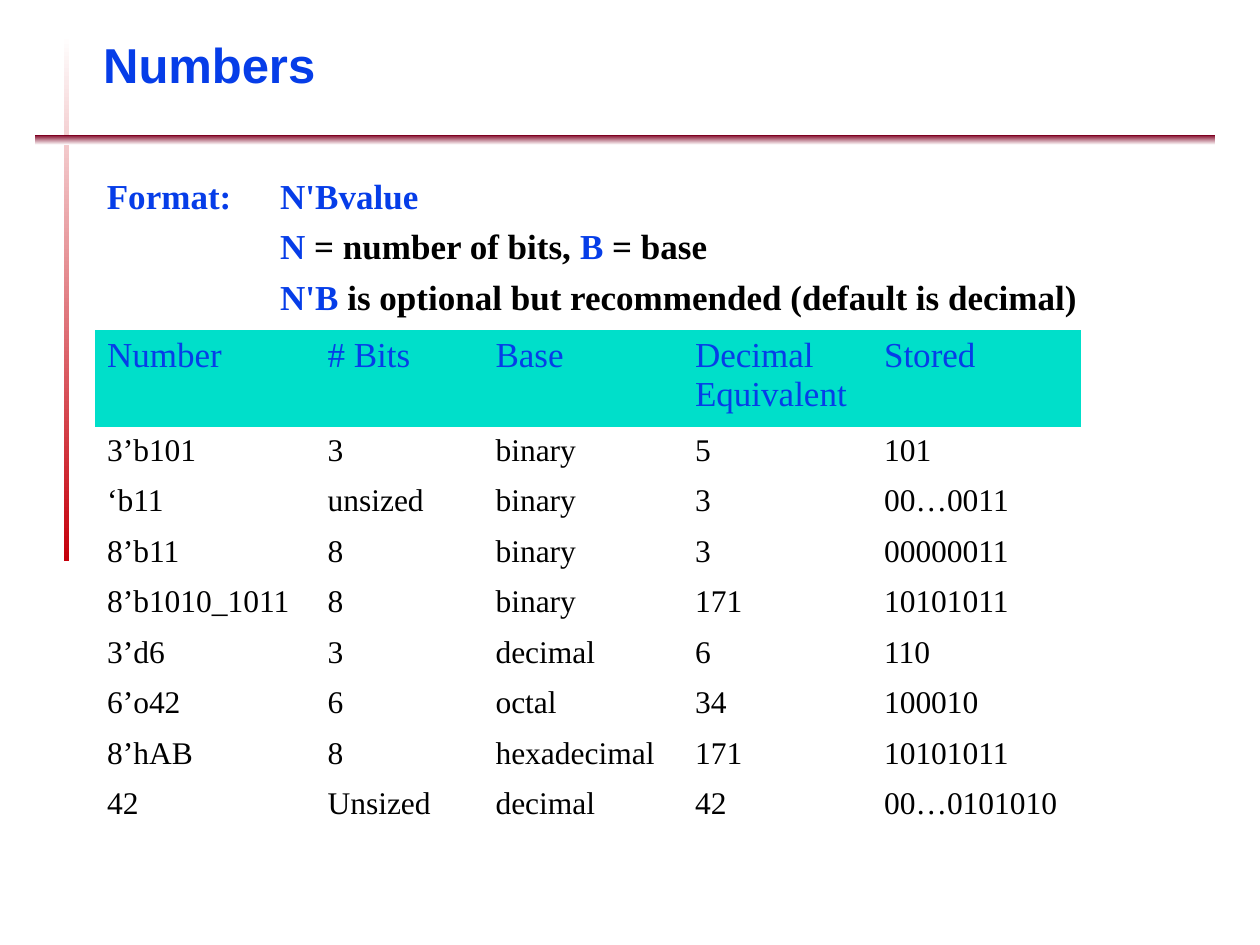
from pptx import Presentation
from pptx.dml.color import RGBColor as RGB
from pptx.enum.shapes import MSO_SHAPE as Shape
from pptx.util import Pt

HUES = {"blue": "063DE8", "black": "000000", "white": "FFFFFF",
        "red": "C5000B", "wine": "7E0021", "teal": "00DFCA"}
SERIF = "Times New Roman"
PLAIN = "{2D5ABB26-0587-4C30-8999-92F81FD0307C}"  # no style, no grid
TAB = 99

COLS = [126, 96, 114, 108, 120]
HEAD_H, ROW_H = 55.4, 28.8
ROWS = [
    ["Number", "# Bits", "Base", "Decimal Equivalent", "Stored"],
    ["3’b101", "3", "binary", "5", "101"],
    ["‘b11", "unsized", "binary", "3", "00…0011"],
    ["8’b11", "8", "binary", "3", "00000011"],
    ["8’b1010_1011", "8", "binary", "171", "10101011"],
    ["3’d6", "3", "decimal", "6", "110"],
    ["6’o42", "6", "octal", "34", "100010"],
    ["8’hAB", "8", "hexadecimal", "171", "10101011"],
    ["42", "Unsized", "decimal", "42", "00…0101010"],
]
NOTES = [
    [("Format:\tN'Bvalue", "blue")],
    [("N", "blue"), (" = number of bits, ", "black"),
     ("B", "blue"), (" = base", "black")],
    [("N'B", "blue"),
     (" is optional but recommended (default is decimal)", "black")],
]


def rgb(hue):
    return RGB.from_string(HUES[hue])


def add_run(para, text, hue, **form):
    run = para.add_run()
    run.text = text
    run.font.color.rgb = rgb(hue)
    for key, val in form.items():
        setattr(run.font, key, val)


def add_bar(slide, area, hue, angle):
    """Add a bar that fades from white to hue."""
    bar = slide.shapes.add_shape(Shape.RECTANGLE, *map(Pt, area))
    bar.shadow.inherit = False
    bar.line.fill.background()
    bar.fill.gradient()
    bar.fill.gradient_angle = angle
    for stop, tone in zip(bar.fill.gradient_stops, ("white", hue)):
        stop.color.rgb = rgb(tone)


def add_box(slide, area, side, top):
    frame = slide.shapes.add_textbox(*map(Pt, area)).text_frame
    form = {"word_wrap": True, "margin_left": Pt(side),
            "margin_right": Pt(side), "margin_top": Pt(top),
            "margin_bottom": Pt(top)}
    for key, val in form.items():
        setattr(frame, key, val)
    return frame


def add_title(slide):
    para = add_box(slide, (54, 21, 618, 94), 5, 3.6).paragraphs[0]
    para.line_spacing = 0.87
    add_run(para, "Numbers", "blue", name="Arial", size=Pt(28), bold=True)


def add_notes(slide):
    frame = add_box(slide, (54, 96, 612, 390), 7.2, 3.6)
    for i, parts in enumerate(NOTES):
        para = frame.add_paragraph() if i else frame.paragraphs[0]
        props = para._p.get_or_add_pPr()
        props.set("marL", str(Pt(TAB)))
        props.set("indent", str(0 if i else -Pt(TAB)))
        para.space_before = Pt(5 if i else 0)
        for text, hue in parts:
            add_run(para, text, hue, name=SERIF, size=Pt(20), bold=True)


def add_grid(slide):
    high = HEAD_H + ROW_H * (len(ROWS) - 1)
    grid = slide.shapes.add_table(len(ROWS), len(COLS), Pt(54), Pt(188.6),
                                  Pt(sum(COLS)), Pt(high)).table
    grid._tbl.tblPr[0].text = PLAIN
    grid.horz_banding = False
    for col, wide in zip(grid.columns, COLS):
        col.width = Pt(wide)
    for r, row in enumerate(ROWS):
        grid.rows[r].height = Pt(ROW_H if r else HEAD_H)
        for c, text in enumerate(row):
            cell = grid.cell(r, c)
            if r:
                cell.fill.background()
            else:
                cell.fill.solid()
                cell.fill.fore_color.rgb = rgb("teal")
            add_run(cell.text_frame.paragraphs[0], text,
                    "black" if r else "blue",
                    name=SERIF, size=Pt(18 if r else 20))


def main():
    deck = Presentation()
    deck.slide_width, deck.slide_height = Pt(720), Pt(540)
    slide = deck.slides.add_slide(deck.slide_layouts[6])
    add_bar(slide, (36.7, 20.2, 2.9, 300.2), "red", 270)
    add_bar(slide, (19.8, 77, 674.6, 5.8), "wine", 90)
    add_title(slide)
    add_grid(slide)
    add_notes(slide)
    deck.save("out.pptx")


if __name__ == "__main__":
    main()
